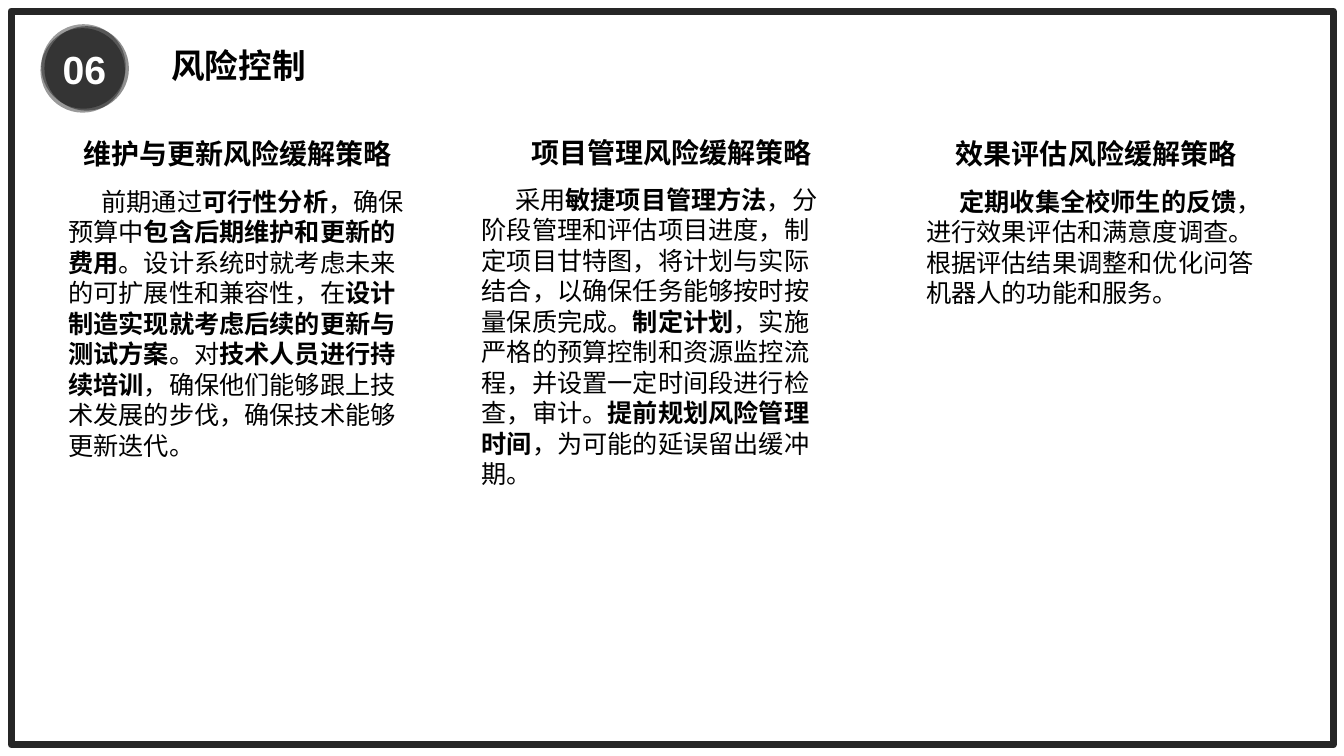
"""Builds the risk control slide with three columns of mitigation strategies."""
from lxml.etree import SubElement
from pptx import Presentation
from pptx.dml.color import RGBColor
from pptx.enum.shapes import MSO_SHAPE
from pptx.enum.text import MSO_ANCHOR, MSO_AUTO_SIZE, PP_ALIGN
from pptx.oxml.ns import qn
from pptx.util import Cm, Pt

BLACK = RGBColor(0x00, 0x00, 0x00)
WHITE = RGBColor(0xFF, 0xFF, 0xFF)
FRAME_GREY = RGBColor(0x26, 0x26, 0x26)
LINE_HEIGHT = 1.21

FRAME_FORMAT = {
    "word_wrap": True,
    "auto_size": MSO_AUTO_SIZE.SHAPE_TO_FIT_TEXT,
    "vertical_anchor": MSO_ANCHOR.TOP,
    "margin_left": Cm(0.25),
    "margin_right": Cm(0.25),
    "margin_top": Cm(0.13),
    "margin_bottom": Cm(0.13),
}


def write(box, text, font, size, color=BLACK, align=PP_ALIGN.CENTER, bold=True):
    """Fill a box with one paragraph; each * switches bold on or off."""
    for key, value in FRAME_FORMAT.items():
        setattr(box.text_frame, key, value)
    paragraph = box.text_frame.paragraphs[0]
    paragraph.alignment = align
    paragraph.line_spacing = Pt(round(size * LINE_HEIGHT, 1))
    for part in text.split("*"):
        if part:
            run = paragraph.add_run()
            run.text = part
            run.font.color.rgb = color
            for key, value in {"name": font, "size": Pt(size), "bold": bold}.items():
                setattr(run.font, key, value)
            SubElement(run.font._element, qn("a:ea"), typeface="Noto Sans CJK SC")
        bold = not bold
    return paragraph


presentation = Presentation()
presentation.slide_width, presentation.slide_height = Cm(33.87), Cm(19.05)
slide = presentation.slides.add_slide(presentation.slide_layouts[5])

border = slide.shapes.add_shape(MSO_SHAPE.RECTANGLE, Cm(0.28), Cm(0.28), Cm(33.32), Cm(18.49))
border.shadow.inherit = False
border.fill.background()
border.line.color.rgb = FRAME_GREY
border.line.width = Pt(5)

badge = slide.shapes.add_group_shape()
for left, top, opacity in [(1.04, 0.61, 39), (1.12, 0.66, 44), (1.02, 0.71, 40)]:
    disc = badge.shapes.add_shape(MSO_SHAPE.OVAL, Cm(left), Cm(top), Cm(2.13), Cm(2.13))
    disc.shadow.inherit = False
    disc.line.fill.background()
    disc.fill.solid()
    disc.fill.fore_color.rgb = BLACK
    disc_color = disc._element.spPr.find(".//" + qn("a:srgbClr"))
    SubElement(disc_color, qn("a:alpha"), val=str(opacity * 1000))

section_number = slide.shapes.add_textbox(Cm(0.69), Cm(0.99), Cm(2.87), Cm(1.45))
write(section_number, "06", "Arial", 28, WHITE)

section_title = slide.shapes.title
title_place = {"left": Cm(4.04), "top": Cm(0.99), "width": Cm(3.94), "height": Cm(1.27)}
for key, value in title_place.items():
    setattr(section_title, key, value)
write(section_title, "风险控制", "Arial", 24)
section_title.text_frame.word_wrap = False

strategies = [
    ("维护与更新风险缓解策略", (1.47, 3.3, 9.04, 1.12),
     "前期通过*可行性分析*，确保预算中*包含后期维护和更新的费用*。"
     "设计系统时就考虑未来的可扩展性和兼容性，在*设计制造实现就考虑后续的更新与测试方案*。"
     "对*技术人员进行持续培训*，确保他们能够跟上技术发展的步伐，确保技术能够更新迭代。",
     (1.47, 4.55, 9.04, 7.19)),
    ("项目管理风险缓解策略", (12.55, 3.28, 8.76, 1.12),
     "采用*敏捷项目管理方法*，分阶段管理和评估项目进度，制定项目甘特图，"
     "将计划与实际结合，以确保任务能够按时按量保质完成。*制定计划*，"
     "实施严格的预算控制和资源监控流程，并设置一定时间段进行检查，审计。"
     "*提前规划风险管理时间*，为可能的延误留出缓冲期。",
     (11.89, 4.5, 9.04, 7.95)),
    ("效果评估风险缓解策略", (22.48, 3.3, 10.29, 1.12),
     "*定期收集全校师生的反馈*，进行效果评估和满意度调查。"
     "根据评估结果调整和优化问答机器人的功能和服务。",
     (23.09, 4.55, 9.04, 3.33)),
]
for heading, heading_place, measures, measures_place in strategies:
    heading_box = slide.shapes.add_textbox(*map(Cm, heading_place))
    write(heading_box, heading, "Calibri", 20)
    measures_box = slide.shapes.add_textbox(*map(Cm, measures_place))
    paragraph = write(measures_box, measures, "Noto Sans CJK SC", 18,
                      align=PP_ALIGN.LEFT, bold=False)
    paragraph._p.get_or_add_pPr().set("indent", str(Cm(0.84)))

presentation.save("out.pptx")
